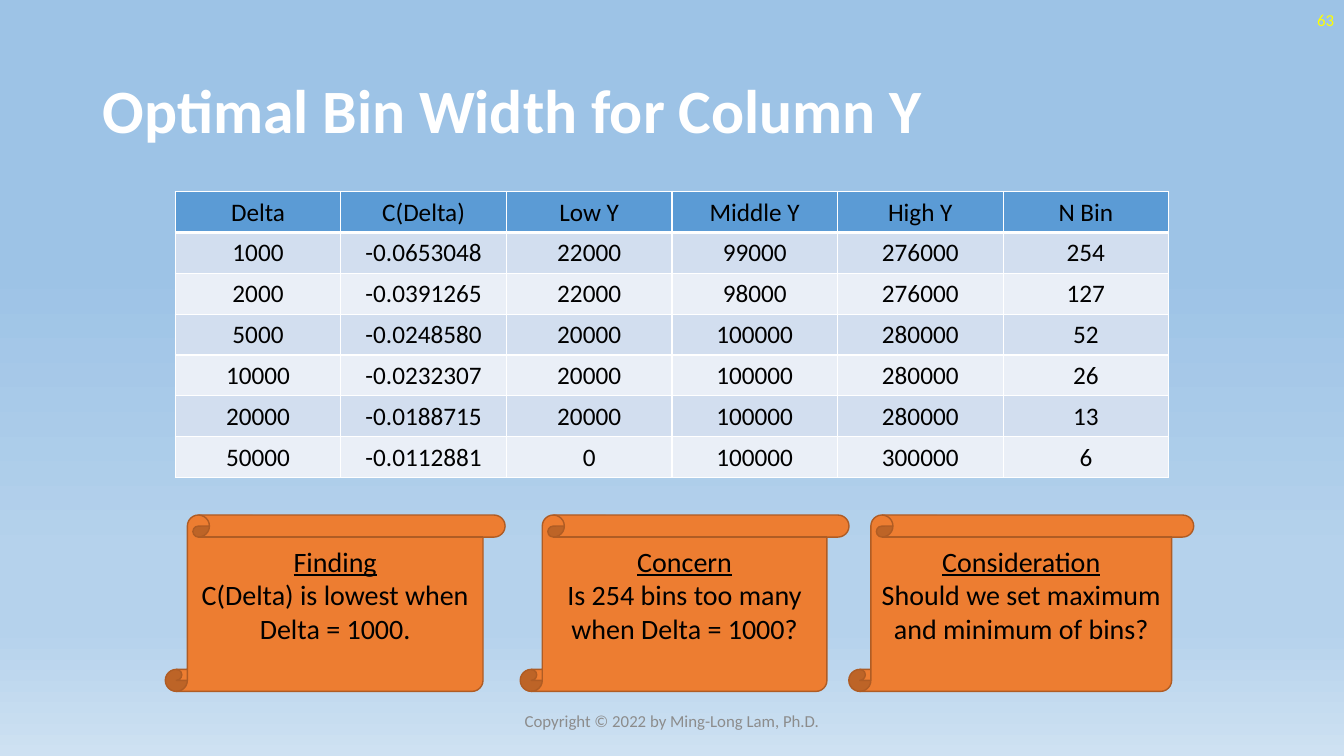
from dataclasses import dataclass

from lxml import etree
from pptx import Presentation
from pptx.dml.color import RGBColor
from pptx.enum.shapes import MSO_SHAPE
from pptx.enum.text import MSO_ANCHOR, MSO_AUTO_SIZE, PP_ALIGN
from pptx.oxml.ns import qn
from pptx.slide import Slide
from pptx.table import _Cell
from pptx.text.text import TextFrame
from pptx.util import Inches, Pt

SCROLL = MSO_SHAPE.VERTICAL_SCROLL
MIDDLE, BOTTOM = MSO_ANCHOR.MIDDLE, MSO_ANCHOR.BOTTOM
LEFT, CENTER, RIGHT = PP_ALIGN.LEFT, PP_ALIGN.CENTER, PP_ALIGN.RIGHT
FIXED = MSO_AUTO_SIZE.NONE

WIDTH, HEIGHT = Inches(13.33), Inches(7.5)
FONT = "Calibri"
COLORS = {
    "sky": "9DC3E6", "haze": "B5D2EC", "mist": "CEE1F2",
    "white": "FFFFFF", "black": "000000", "yellow": "FFFF00", "gray": "8C8C8C",
    "head": "5B9BD5", "odd": "D2DEEF", "even": "EAEFF7",
    "scroll": "ED7D31", "edge": "AF5C24",
}
STOPS = [(35, "sky"), (74, "haze"), (83, "haze"), (100, "mist")]
ROWS = [
    ["Delta", "C(Delta)", "Low Y", "Middle Y", "High Y", "N Bin"],
    ["1000", "-0.0653048", "22000", "99000", "276000", "254"],
    ["2000", "-0.0391265", "22000", "98000", "276000", "127"],
    ["5000", "-0.0248580", "20000", "100000", "280000", "52"],
    ["10000", "-0.0232307", "20000", "100000", "280000", "26"],
    ["20000", "-0.0188715", "20000", "100000", "280000", "13"],
    ["50000", "-0.0112881", "0", "100000", "300000", "6"],
]


@dataclass
class Box:
    """A frame in percent of the slide's width and height."""
    left: float
    top: float
    width: float
    height: float

    def place(self) -> tuple[int, int, int, int]:
        return (int(WIDTH * self.left / 100), int(HEIGHT * self.top / 100),
                int(WIDTH * self.width / 100), int(HEIGHT * self.height / 100))


@dataclass
class Label:
    text: str
    box: Box
    align: PP_ALIGN
    color: str


@dataclass
class Note:
    head: str
    body: str
    left: float
    width: float


LABELS = [
    Label("63", Box(77.5, 0, 22.5, 5.33), RIGHT, "yellow"),
    Label("Copyright © 2022 by Ming-Long Lam, Ph.D.",
          Box(33.13, 92.67, 33.75, 5.33), CENTER, "gray"),
]
NOTES = [
    Note("Finding", "C(Delta) is lowest when Delta = 1000.", 12.3, 25.28),
    Note("Concern", "Is 254 bins too many when Delta = 1000?", 38.71, 24.46),
    Note("Consideration", "Should we set maximum and minimum of bins?", 63.16, 25.66),
]


def tint(name: str) -> RGBColor:
    return RGBColor.from_string(COLORS[name])


def style(frame: TextFrame, size: float, color: str, align: PP_ALIGN,
          bold: bool = False) -> None:
    for para in frame.paragraphs:
        para.alignment = align
        for run in para.runs:
            run.font.name = FONT
            run.font.size = Pt(size)
            run.font.bold = bold
            run.font.color.rgb = tint(color)


def paint_back(slide: Slide) -> None:
    fill = slide.background.fill
    fill.gradient()
    fill.gradient_angle = 270
    stops = slide.element.find(".//" + qn("a:gsLst"))
    for old in list(stops):
        stops.remove(old)
    for share, name in STOPS:
        stop = etree.SubElement(stops, qn("a:gs"), pos=str(share * 1000))
        etree.SubElement(stop, qn("a:srgbClr"), val=COLORS[name])


def add_title(slide: Slide, text: str) -> None:
    title = slide.shapes.title
    title.left, title.top, title.width, title.height = Box(6.88, 5.33, 86.25, 19.33).place()
    frame = title.text_frame
    frame.text = text
    frame.auto_size = FIXED
    frame.vertical_anchor = MIDDLE
    frame.paragraphs[0].line_spacing = 0.9
    style(frame, 44, "white", LEFT, bold=True)


def add_label(slide: Slide, label: Label) -> None:
    frame = slide.shapes.add_textbox(*label.box.place()).text_frame
    frame.word_wrap = True
    frame.vertical_anchor = MIDDLE
    frame.text = label.text
    style(frame, 12, label.color, label.align)


def rule_cell(cell: _Cell, row: int) -> None:
    """Draw white cell borders, with a thick rule under the header row."""
    widths = {"lnL": 1, "lnR": 1, "lnT": 3 if row == 1 else 1, "lnB": 3 if row == 0 else 1}
    props = cell._tc.get_or_add_tcPr()
    for side, width in widths.items():
        line = etree.SubElement(props, qn(f"a:{side}"), w=str(Pt(width)))
        fill = etree.SubElement(line, qn("a:solidFill"))
        etree.SubElement(fill, qn("a:srgbClr"), val=COLORS["white"])


def add_grid(slide: Slide) -> None:
    box = Box(13.04, 25.33, 73.92, 37.87)
    table = slide.shapes.add_table(len(ROWS), len(ROWS[0]), *box.place()).table
    table.first_row = table.horz_banding = False
    for r, values in enumerate(ROWS):
        shade = "head" if r == 0 else "odd" if r % 2 else "even"
        for c, value in enumerate(values):
            cell = table.cell(r, c)
            cell.margin_left = cell.margin_right = cell.margin_top = Inches(0.01)
            cell.margin_bottom = 0
            cell.vertical_anchor = MIDDLE
            cell.text_frame.text = value
            style(cell.text_frame, 18, "black", CENTER)
            rule_cell(cell, r)
            cell.fill.solid()
            cell.fill.fore_color.rgb = tint(shade)


def add_note(slide: Slide, note: Note) -> None:
    shape = slide.shapes.add_shape(SCROLL, *Box(note.left, 68.13, note.width, 23.33).place())
    shape.shadow.inherit = False
    shape.fill.solid()
    shape.fill.fore_color.rgb = tint("scroll")
    shape.line.color.rgb = tint("edge")
    shape.line.width = Pt(1)
    frame = shape.text_frame
    frame.word_wrap = True
    frame.vertical_anchor = BOTTOM
    frame.margin_bottom = Inches(0.35)
    frame.text = f"{note.head}\n{note.body}"
    style(frame, 20, "black", CENTER)
    frame.paragraphs[0].runs[0].font.underline = True


def main() -> None:
    deck = Presentation()
    deck.slide_width, deck.slide_height = WIDTH, HEIGHT
    slide = deck.slides.add_slide(deck.slide_layouts[5])
    paint_back(slide)
    add_title(slide, "Optimal Bin Width for Column Y")
    for label in LABELS:
        add_label(slide, label)
    add_grid(slide)
    for note in NOTES:
        add_note(slide, note)
    deck.save("out.pptx")


if __name__ == "__main__":
    main()
